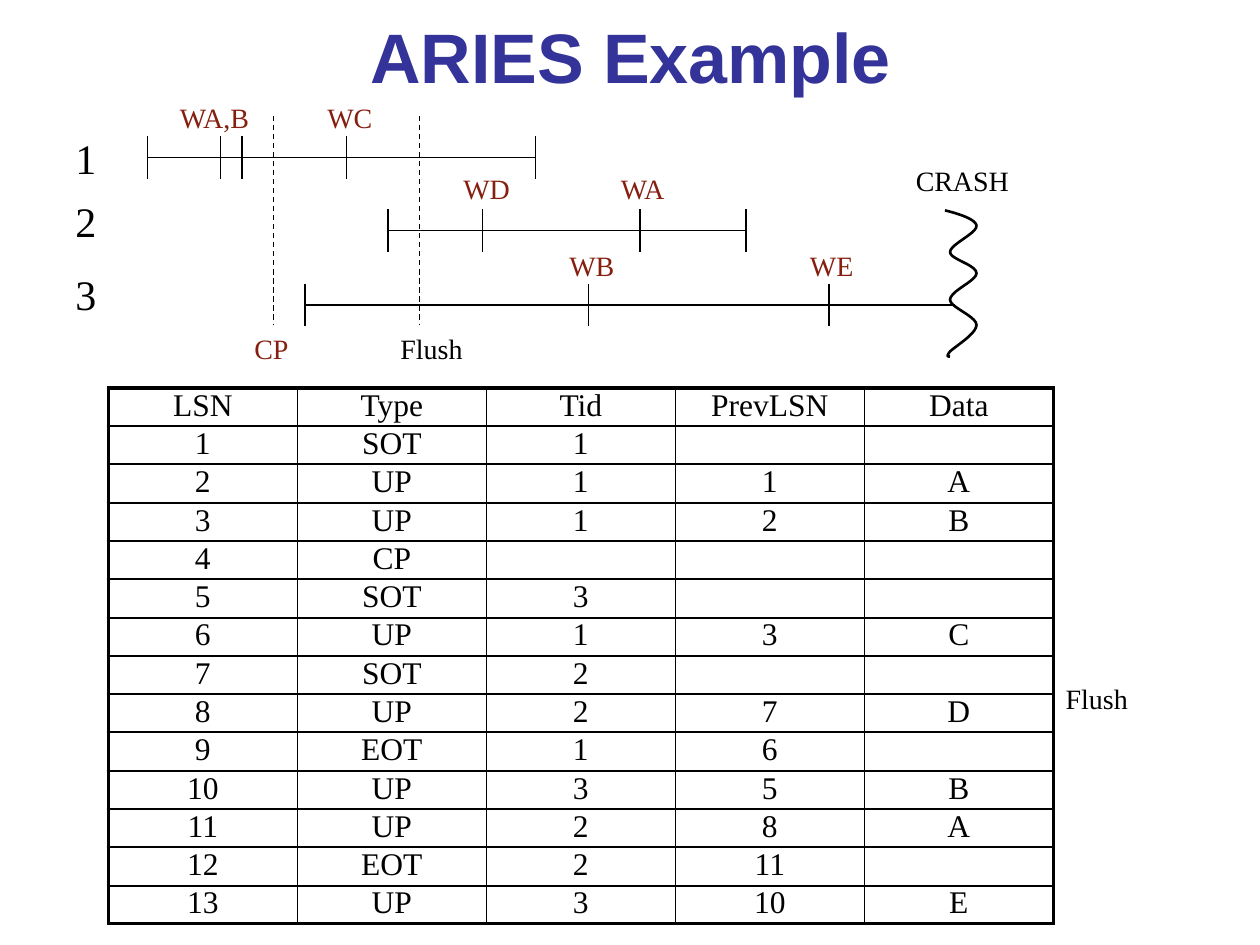
from pptx import Presentation
from pptx import util as u
from pptx.dml.color import RGBColor
from pptx.enum import dml, shapes, text
from pptx.oxml import ns, xmlchemy

BLACK, BRICK, NAVY = "000000", "861F10", "333399"
SERIF, SANS = "Times New Roman", "Arial"
THIN, THICK = 1, 2.25


def color(value):
    return RGBColor.from_string(value)


def bezier(start, first, second, end, steps=10):
    """Points along a cubic curve, without its start."""
    for step in range(1, steps + 1):
        t = step / steps
        weights = ((1 - t) ** 3, 3 * t * (1 - t) ** 2, 3 * t * t * (1 - t), t ** 3)
        yield tuple(sum(weight * point[axis] for weight, point
                        in zip(weights, (start, first, second, end)))
                    for axis in (0, 1))


class SlideBuilder:
    def __init__(self, slide):
        self.slide = slide

    def format_text(self, paragraph, size, hex_color=BLACK, font=SERIF, bold=False):
        for run in paragraph.runs:
            run.font.size = u.Pt(size)
            run.font.name = font
            run.font.bold = bold
            run.font.color.rgb = color(hex_color)

    def title(self, wording, left, top, width, height):
        shape = self.slide.shapes.title
        shape.left, shape.top = u.Inches(left), u.Inches(top)
        shape.width, shape.height = u.Inches(width), u.Inches(height)
        frame = shape.text_frame
        frame.text = wording
        frame.vertical_anchor = text.MSO_ANCHOR.MIDDLE
        paragraph = frame.paragraphs[0]
        paragraph.alignment = text.PP_ALIGN.CENTER
        self.format_text(paragraph, 40, NAVY, SANS, bold=True)

    def label(self, wording, left, top, width, height=0.37, size=16, hex_color=BLACK):
        shape = self.slide.shapes.add_textbox(
            u.Inches(left), u.Inches(top), u.Inches(width), u.Inches(height))
        frame = shape.text_frame
        frame.text = wording
        frame.word_wrap = False
        frame.auto_size = text.MSO_AUTO_SIZE.SHAPE_TO_FIT_TEXT
        self.format_text(frame.paragraphs[0], size, hex_color)

    def line(self, x1, y1, x2, y2, dashed=False):
        connector = self.slide.shapes.add_connector(
            shapes.MSO_CONNECTOR.STRAIGHT,
            u.Inches(x1), u.Inches(y1), u.Inches(x2), u.Inches(y2))
        connector.line.color.rgb = color(BLACK)
        connector.line.width = u.Pt(0.75)
        if dashed:
            connector.line.dash_style = dml.MSO_LINE.DASH
        connector._element.spPr.append(xmlchemy.OxmlElement("a:effectLst"))

    def curve(self, start, segments):
        points = []
        here = start
        for segment in segments:
            points.extend(bezier(here, *segment))
            here = segment[-1]
        builder = self.slide.shapes.build_freeform(u.Inches(start[0]), u.Inches(start[1]))
        builder.add_line_segments(
            [(u.Inches(x), u.Inches(y)) for x, y in points], close=False)
        shape = builder.convert_to_shape()
        shape.shadow.inherit = False
        shape.fill.background()
        shape.line.color.rgb = color(BLACK)
        shape.line.width = u.Pt(1.5)

    def cell_borders(self, cell, widths):
        properties = cell._tc.get_or_add_tcPr()
        for position, (side, width) in enumerate(widths.items()):
            border = xmlchemy.OxmlElement(f"a:ln{side}")
            border.set("w", str(u.Pt(width)))
            fill = xmlchemy.OxmlElement("a:solidFill")
            shade = xmlchemy.OxmlElement("a:srgbClr")
            shade.set("val", BLACK)
            fill.append(shade)
            border.append(fill)
            properties.insert(position, border)

    def record(self, values, left, top, column_width, height, first, last):
        """One log record as a one-row table."""
        table = self.slide.shapes.add_table(
            1, len(values), u.Inches(left), u.Inches(top),
            u.Inches(column_width * len(values)), u.Inches(height)).table
        table.first_row = table.horz_banding = False
        for column, value in enumerate(values):
            cell = table.cell(0, column)
            cell.margin_left = cell.margin_right = u.Inches(0.05)
            cell.margin_top = cell.margin_bottom = 0
            cell.fill.background()
            cell.text_frame.text = value
            paragraph = cell.text_frame.paragraphs[0]
            paragraph.alignment = text.PP_ALIGN.CENTER
            self.format_text(paragraph, 18)
            self.cell_borders(cell, {
                "L": THICK if column == 0 else THIN,
                "R": THICK if column == len(values) - 1 else THIN,
                "T": THICK if first else THIN,
                "B": THICK if last else THIN})


# Transactions: number, number top, line height, start, end, ticks
TRANSACTIONS = [
    ("1", 1, 1.25, 1.17, 4.25, (1.17, 1.75, 1.92, 2.75, 4.25)),
    ("2", 1.5, 1.83, 3.08, 5.92, (3.08, 3.83, 5.08, 5.92)),
    ("3", 2.08, 2.42, 2.42, 7.58, (2.42, 4.67, 6.58)),
]
WRITES = [
    ("WA,B", 1.33, 0.75, 0.78), ("WC", 2.5, 0.75, 0.56),
    ("WD", 3.58, 1.31, 0.57), ("WA", 4.83, 1.31, 0.57),
    ("WB", 4.42, 1.92, 0.56), ("WE", 6.33, 1.92, 0.55),
]
CRASH_WAVE = [
    ((7.62, 1.7), (7.74, 1.74), (7.75, 1.79)),
    ((7.76, 1.85), (7.54, 1.94), (7.54, 2)),
    ((7.54, 2.06), (7.75, 2.1), (7.75, 2.17)),
    ((7.75, 2.23), (7.54, 2.31), (7.54, 2.38)),
    ((7.54, 2.44), (7.75, 2.51), (7.75, 2.58)),
    ((7.75, 2.65), (7.58, 2.75), (7.54, 2.79)),
    ((7.51, 2.83), (7.52, 2.83), (7.54, 2.83)),
]
LOG = [
    ("LSN", "Type", "Tid", "PrevLSN", "Data"),
    ("1", "SOT", "1", "", ""),
    ("2", "UP", "1", "1", "A"),
    ("3", "UP", "1", "2", "B"),
    ("4", "CP", "", "", ""),
    ("5", "SOT", "3", "", ""),
    ("6", "UP", "1", "3", "C"),
    ("7", "SOT", "2", "", ""),
    ("8", "UP", "2", "7", "D"),
    ("9", "EOT", "1", "6", ""),
    ("10", "UP", "3", "5", "B"),
    ("11", "UP", "2", "8", "A"),
    ("12", "EOT", "2", "11", ""),
    ("13", "UP", "3", "10", "E"),
]


def main():
    presentation = Presentation()
    presentation.slide_width, presentation.slide_height = u.Inches(10), u.Inches(7.5)
    builder = SlideBuilder(presentation.slides.add_slide(presentation.slide_layouts[5]))
    builder.title("ARIES Example", 0.38, -0.1, 9.25, 1.08)

    # Transaction timelines
    for number, number_top, y, start, end, ticks in TRANSACTIONS:
        builder.label(number, 0.5, number_top, 0.37, 0.5, size=24)
        builder.line(start, y, end, y)
        for x in ticks:
            builder.line(x, y - 0.17, x, y + 0.17)
    for wording, left, top, width in WRITES:
        builder.label(wording, left, top, width, hex_color=BRICK)

    # Checkpoint, flush and crash
    for x in (2.17, 3.33):
        builder.line(x, 0.92, x, 2.58, dashed=True)
    builder.label("CP", 1.92, 2.58, 0.47, hex_color=BRICK)
    builder.label("Flush", 3.08, 2.58, 0.7)
    builder.label("CRASH", 7.17, 1.25, 0.94)
    builder.curve((7.5, 1.67), CRASH_WAVE)

    # Log records, evenly stacked
    top, bottom = 3.08, 7.03
    pitch = (bottom - top) / (len(LOG) - 1)
    for row, values in enumerate(LOG):
        builder.record(values, 0.86, top + row * pitch, 1.5, 0.3,
                       first=row == 0, last=row == len(LOG) - 1)
    builder.label("Flush", 8.36, 5.36, 0.7)

    presentation.save("out.pptx")


if __name__ == "__main__":
    main()
